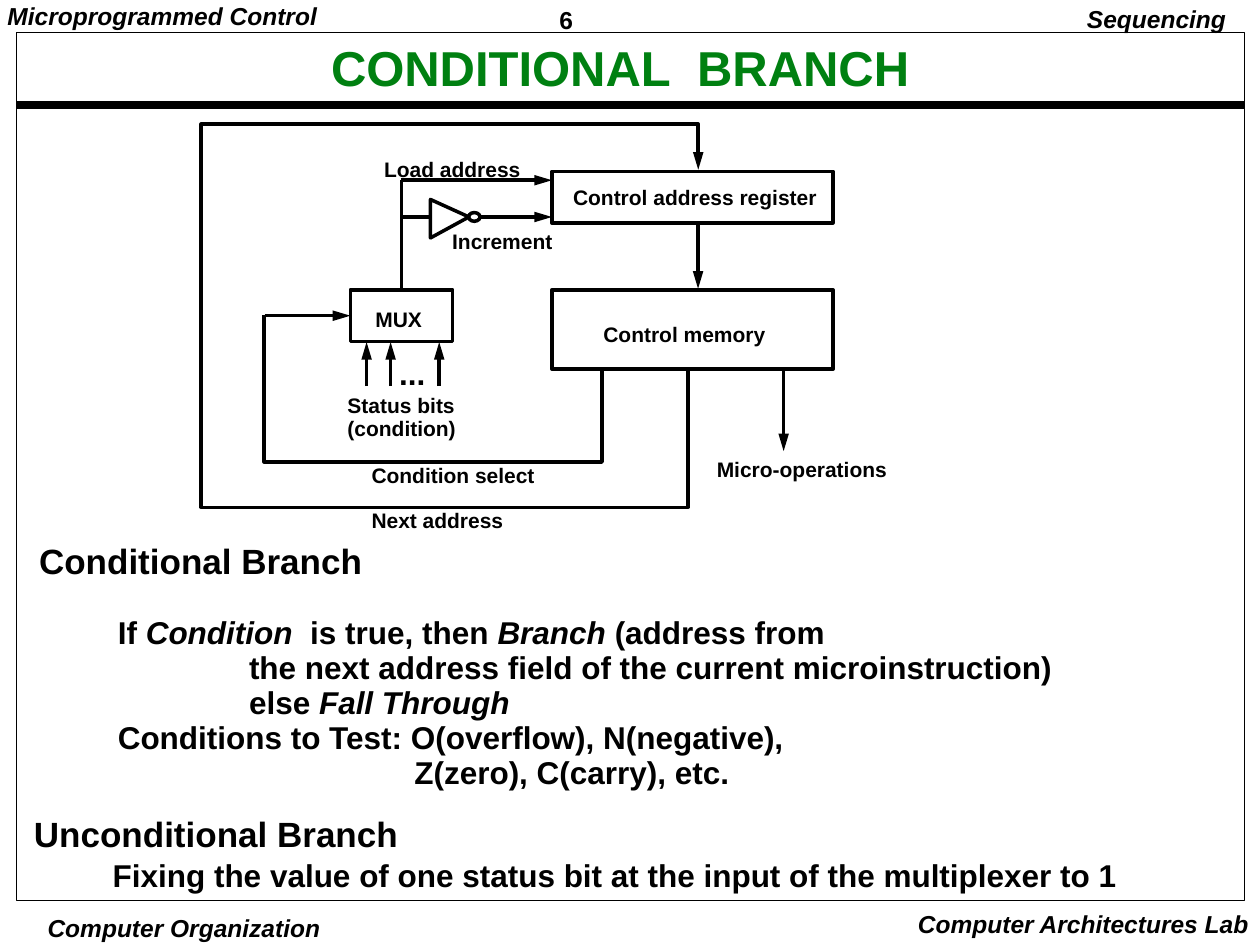
from lxml import etree
from pptx import Presentation
from pptx import util as u
from pptx.dml import color
from pptx.enum import shapes, text
from pptx.oxml import ns

BLACK = "000000"
GREEN = "008011"


def rgb(value):
    """Return the colour for a hex string."""
    return color.RGBColor.from_string(value)


def place(shape, left, top, width, height):
    """Move and size a shape in points."""
    shape.left, shape.top = u.Pt(left), u.Pt(top)
    shape.width, shape.height = u.Pt(width), u.Pt(height)


def style_font(font, size, fill=BLACK, italic=None):
    """Set a bold Arial font."""
    font.name, font.size, font.bold, font.italic = "Arial", u.Pt(size), True, italic
    font.color.rgb = rgb(fill)


def style_frame(frame, margins, wrap):
    """Set the margins and wrapping of a text frame."""
    side, edge = margins
    frame.margin_left = frame.margin_right = u.Pt(side)
    frame.margin_top = frame.margin_bottom = u.Pt(edge)
    frame.word_wrap = wrap
    frame.auto_size = text.MSO_AUTO_SIZE.NONE


def add_label(slide, words, box, size=12, italic=None, align=text.PP_ALIGN.LEFT,
              margins=(7.2, 3.6), spacing=0.93):
    """Add a bold label, one paragraph a line."""
    shape = slide.shapes.add_textbox(*(u.Pt(value) for value in box))
    frame = shape.text_frame
    style_frame(frame, margins, False)
    frame.text = words
    for paragraph in frame.paragraphs:
        paragraph.alignment = align
        paragraph.line_spacing = spacing
        style_font(paragraph.font, size, italic=italic)


def fill_title(slide, words):
    """Fill and place the title."""
    title = slide.shapes.title
    place(title, 63.4, 23, 581.8, 34.6)
    style_frame(title.text_frame, (5, 2.2), True)
    title.text_frame.vertical_anchor = text.MSO_ANCHOR.MIDDLE
    title.text_frame.text = words
    paragraph = title.text_frame.paragraphs[0]
    paragraph.alignment = text.PP_ALIGN.CENTER
    paragraph.line_spacing = 0.9
    style_font(paragraph.font, 28, GREEN)


def fill_body(body, box, lines, margins, spacing):
    """Fill a body from (size, indent, space before, words); odd parts split by * are italic."""
    place(body, *box)
    frame = body.text_frame
    style_frame(frame, margins, True)
    for index, (size, indent, before, words) in enumerate(lines):
        paragraph = frame.paragraphs[0] if index == 0 else frame.add_paragraph()
        properties = paragraph._p.get_or_add_pPr()
        properties.set("marL", str(u.Pt(indent)))
        properties.set("indent", "0")
        etree.SubElement(properties, ns.qn("a:buNone"))
        paragraph.line_spacing = spacing
        paragraph.space_before = u.Pt(before)
        style_font(paragraph.font, size)
        for number, part in enumerate(words.split("*")):
            if part:
                run = paragraph.add_run()
                run.text = part
                if number % 2:
                    run.font.italic = True


def add_arrowhead(shape):
    """Put an arrowhead at the end of a line."""
    etree.SubElement(shape.line._get_or_add_ln(), ns.qn("a:tailEnd"),
                     type="triangle", w="med", len="lg")


def style_outline(shape, width=2):
    """Give a shape a black outline without fill or shadow."""
    shape.shadow.inherit = False
    shape.fill.background()
    shape.line.color.rgb = rgb(BLACK)
    shape.line.width = u.Pt(width)


def add_outline(slide, kind, box, width=2):
    """Add an unfilled preset shape."""
    shape = slide.shapes.add_shape(kind, *(u.Pt(value) for value in box))
    style_outline(shape, width)
    return shape


def add_path(slide, points, closed=False, arrow=False):
    """Add an unfilled path through the points."""
    builder = slide.shapes.build_freeform(*points[0], scale=u.Pt(1))
    builder.add_line_segments(points[1:], close=closed)
    shape = builder.convert_to_shape()
    style_outline(shape)
    if arrow:
        add_arrowhead(shape)


def add_wire(slide, start, end, arrow=False, width=2):
    """Add a straight black connector."""
    wire = slide.shapes.add_connector(
        shapes.MSO_CONNECTOR.STRAIGHT, *(u.Pt(value) for value in start + end))
    wire.line.color.rgb = rgb(BLACK)
    wire.line.width = u.Pt(width)
    if arrow:
        add_arrowhead(wire)
    etree.SubElement(wire._element.spPr, ns.qn("a:effectLst"))
    return wire


def add_page_frame(slide):
    """Add the frame, the rule and the corner labels."""
    right = text.PP_ALIGN.RIGHT
    add_label(slide, "6", (314.6, 0, 77.8, 20.9), 14, margins=(5, 2.2), spacing=1.05)
    add_label(slide, "Microprogrammed Control", (-0.7, 0, 187, 19.4), 14, True, margins=(5, 2.2))
    add_label(slide, "Sequencing", (614.2, 0, 93.6, 22.3), 14, True, right)
    add_label(slide, "Computer Organization", (25.2, 521.3, 160, 18.7), 14, True,
              text.PP_ALIGN.CENTER, (2.2, 0.7), 1)
    add_label(slide, "Computer Architectures Lab", (517, 516.2, 203.7, 23.8), 14, True, right,
              spacing=1)
    add_wire(slide, (9.4, 59.8), (710.6, 59.8), width=4.5)
    add_outline(slide, shapes.MSO_SHAPE.RECTANGLE, (9.4, 18.7, 702, 496), 0.5)


def add_diagram(slide):
    """Add the sequencer diagram."""
    rectangle = shapes.MSO_SHAPE.RECTANGLE
    add_outline(slide, rectangle, (315.4, 97.9, 160.6, 29.5))
    add_outline(slide, rectangle, (315.4, 165.6, 160.6, 45.4))
    mux = add_outline(slide, rectangle, (200.2, 165.6, 58.4, 29.6))

    add_path(slide, [(393, 211), (393, 290.2), (115.2, 290.2), (115.2, 71.3),
                     (398.9, 71.3), (398.9, 97)], arrow=True)
    add_path(slide, [(344.2, 211), (344.2, 264.5), (151.2, 264.5), (151.2, 180.4)])
    add_wire(slide, (151.2, 180.4), (200.2, 180.4), True).end_connect(mux, 1)
    add_wire(slide, (229.4, 165.6), (229.4, 103)).begin_connect(mux, 0)
    add_wire(slide, (229.4, 103), (315.4, 103), True)
    add_wire(slide, (229.4, 124), (246.3, 124))
    add_path(slide, [(246.3, 113.5), (268.4, 124.2), (246.3, 135.5)], closed=True)
    add_outline(slide, shapes.MSO_SHAPE.OVAL, (267.8, 121.5, 6.5, 5))
    add_wire(slide, (274.3, 124), (315.4, 124), True)
    add_wire(slide, (398.9, 127.4), (398.9, 165), True)
    add_wire(slide, (447.8, 211), (447.8, 257.8), True)
    for x in (209.5, 223.2, 251):
        add_wire(slide, (x, 220.7), (x, 195.5), True)

    for words, left, top, width in (
            ("Control address register", 320.4, 103, 153.4),
            ("Control memory", 337.7, 181.4, 107.3),
            ("MUX", 207.4, 172.8, 41),
            ("Load address", 212.4, 87.1, 92.2),
            ("Increment", 251.3, 128.2, 71.3),
            ("Micro-operations", 402.5, 258.5, 111.6),
            ("Condition select", 205.2, 262.1, 107.3),
            ("Next address", 205.2, 288, 90)):
        add_label(slide, words, (left, top, width, 20.2))
    add_label(slide, "Status bits\n(condition)", (191.5, 221.8, 77, 33.1))
    add_label(slide, "...", (221, 200.9, 29.5, 26.6), 18)


def main():
    """Build the slide."""
    presentation = Presentation()
    presentation.slide_width, presentation.slide_height = u.Pt(720), u.Pt(540)
    slide = presentation.slides.add_slide(presentation.slide_layouts[3])
    add_page_frame(slide)
    fill_title(slide, "CONDITIONAL  BRANCH")
    add_diagram(slide)
    fill_body(slide.placeholders[1], (15.1, 306.7, 656, 145.4), [
        (20, 0, 0, "Conditional Branch"),
        (18, 45, 19.4, "If *Condition*  is true, then *Branch *(address from"),
        (18, 120, 0, "the next address field of the current microinstruction)"),
        (18, 120, 0, "else *Fall Through*"),
        (18, 45, 0, "Conditions to Test: O(overflow), N(negative),"),
        (18, 214.5, 0, "Z(zero), C(carry), etc.")], (7.2, 3.6), 0.93)
    fill_body(slide.placeholders[2], (14.4, 460.8, 629.3, 50.4), [
        (20, 0, 0, "Unconditional Branch"),
        (18, 45, 0, "Fixing the value of one status bit at the input of the multiplexer to 1")],
        (5, 2.2), 1.05)
    presentation.save("out.pptx")


if __name__ == "__main__":
    main()
